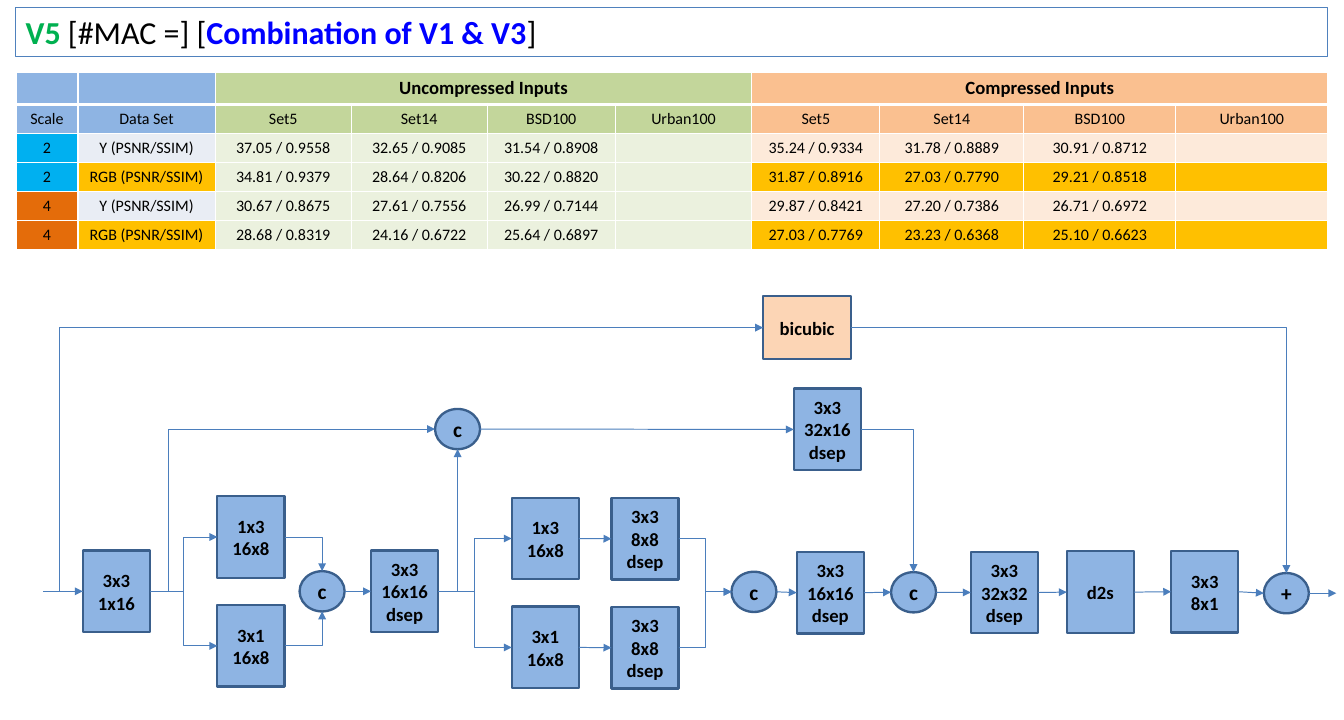
import pptx
import pptx.util
import pptx.dml.color
import pptx.enum.shapes
import pptx.enum.text
import pptx.oxml.ns
import lxml.etree

Pt = pptx.util.Pt
RGB = pptx.dml.color.RGBColor.from_string
ALIGN = pptx.enum.text.PP_ALIGN
MIDDLE = pptx.enum.text.MSO_ANCHOR.MIDDLE
SHAPES = pptx.enum.shapes.MSO_SHAPE
CONNECTORS = pptx.enum.shapes.MSO_CONNECTOR
qn = pptx.oxml.ns.qn


class Theme:
    font = "Calibri"
    text, white = "000000", "FFFFFF"
    green, bright_blue = "00B050", "0000FF"
    block, outline, arrow, frame = "8EB4E3", "3A5F8C", "4B7EBC", "4F81BD"
    bicubic = "FCD5B5"
    plain_head, plain_cell = "C3D69B", "EBF1DE"
    compressed_head, compressed_cell = "FAC090", "FDEADA"
    luma, rgb = "E9EDF4", "FFC000"
    scales = {"2": "00B0F0", "4": "E46C0A"}
    title_size, head_size, cell_size = 24, 14, 12
    block_size, node_size = 14, 16


def write(frame, text, size, bold):
    frame.text = text
    for para in frame.paragraphs:
        para.alignment = ALIGN.CENTER
        para.font.name = Theme.font
        para.font.size = Pt(size)
        para.font.bold = bold
        para.font.color.rgb = RGB(Theme.text)


def connect(start, end, preset="line", bend=None):
    kind = CONNECTORS.STRAIGHT if preset == "line" else CONNECTORS.ELBOW
    link = page.shapes.add_connector(kind, *(Pt(value) for value in start + end))
    link.line.color.rgb = RGB(Theme.arrow)
    link.line.width = Pt(0.75)
    properties = link._element.spPr
    geometry = properties.find(qn("a:prstGeom"))
    geometry.set("prst", preset)
    if bend is not None:
        guides = geometry.find(qn("a:avLst"))
        ratio = round(bend / (end[0] - start[0]) * 100000)
        lxml.etree.SubElement(guides, qn("a:gd"), name="adj1", fmla=f"val {ratio}")
    lxml.etree.SubElement(properties.find(qn("a:ln")), qn("a:tailEnd"), type="triangle")
    lxml.etree.SubElement(properties, qn("a:effectLst"))


deck = pptx.Presentation()
deck.slide_width, deck.slide_height = Pt(1008), Pt(540)
page = deck.slides.add_slide(deck.slide_layouts[5])

title = page.shapes.title
title.left, title.top, title.width, title.height = Pt(12), Pt(5.8), Pt(984), Pt(36.4)
title.line.color.rgb = RGB(Theme.frame)
title.line.width = Pt(0.75)
title.text_frame.word_wrap = True
title.text_frame.auto_size = pptx.enum.text.MSO_AUTO_SIZE.NONE
title.text_frame.vertical_anchor = MIDDLE
para = title.text_frame.paragraphs[0]
para.alignment = ALIGN.LEFT
para.font.name = Theme.font
para.font.size = Pt(Theme.title_size)
for text, color, bold in [
    ("V5 ", Theme.green, True),
    ("[#MAC =] [", Theme.text, False),
    ("Combination of V1 & V3", Theme.bright_blue, True),
    ("]", Theme.text, False),
]:
    span = para.add_run()
    span.text = text
    span.font.bold = bold
    span.font.color.rgb = RGB(color)

sets = ["Set5", "Set14", "BSD100", "Urban100"]
luma, rgb = "Y (PSNR/SSIM)", "RGB (PSNR/SSIM)"
rows = [
    ["", "", "Uncompressed Inputs", "", "", "", "Compressed Inputs", "", "", ""],
    ["Scale", "Data Set"] + sets * 2,
    ["2", luma, "37.05 / 0.9558", "32.65 / 0.9085", "31.54 / 0.8908", "",
     "35.24 / 0.9334", "31.78 / 0.8889", "30.91 / 0.8712", ""],
    ["2", rgb, "34.81 / 0.9379", "28.64 / 0.8206", "30.22 / 0.8820", "",
     "31.87 / 0.8916", "27.03 / 0.7790", "29.21 / 0.8518", ""],
    ["4", luma, "30.67 / 0.8675", "27.61 / 0.7556", "26.99 / 0.7144", "",
     "29.87 / 0.8421", "27.20 / 0.7386", "26.71 / 0.6972", ""],
    ["4", rgb, "28.68 / 0.8319", "24.16 / 0.6722", "25.64 / 0.6897", "",
     "27.03 / 0.7769", "23.23 / 0.6368", "25.10 / 0.6623", ""],
]
widths = [46.5, 103, 102, 102, 96, 102.5, 96, 108, 114, 114]
table = page.shapes.add_table(6, 10, Pt(12), Pt(54), Pt(984), Pt(108)).table
table.horz_banding = False
for column, width in zip(table.columns, widths):
    column.width = Pt(width)
for r, values in enumerate(rows):
    if r < 2:
        fills = [Theme.block] * 2 + [Theme.plain_head] * 4 + [Theme.compressed_head] * 4
    else:
        is_rgb = values[1] == rgb
        fills = [Theme.scales[values[0]], Theme.rgb if is_rgb else Theme.luma]
        fills += [Theme.plain_cell] * 4
        fills += [Theme.rgb if is_rgb else Theme.compressed_cell] * 4
    for c, (text, color) in enumerate(zip(values, fills)):
        cell = table.cell(r, c)
        write(cell.text_frame, text, Theme.head_size if r == 0 else Theme.cell_size, r == 0)
        cell.vertical_anchor = MIDDLE
        properties = cell._tc.get_or_add_tcPr()
        for side in ("lnL", "lnR", "lnT", "lnB"):
            heavy = (r, side) in [(0, "lnB"), (1, "lnT")]
            border = lxml.etree.SubElement(properties, qn(f"a:{side}"), w=str(Pt(3 if heavy else 1)))
            paint = lxml.etree.SubElement(border, qn("a:solidFill"))
            lxml.etree.SubElement(paint, qn("a:srgbClr"), val=Theme.white)
        cell.fill.solid()
        cell.fill.fore_color.rgb = RGB(color)
for first in (2, 6):
    table.cell(0, first).merge(table.cell(0, first + 3))

block_form = (SHAPES.RECTANGLE, 50.4, 61.2, Theme.block, Theme.block_size)
node_form = (SHAPES.OVAL, 33.8, 30.2, Theme.block, Theme.node_size)
bicubic_form = (SHAPES.RECTANGLE, 66.2, 47.5, Theme.bicubic, Theme.block_size)
parts = [
    ("stem", block_form, 87.3, 443.5, "3x3\n1x16"),
    ("first row", block_form, 188.2, 402.8, "1x3\n16x8"),
    ("first column", block_form, 188.2, 484.4, "3x1\n16x8"),
    ("first join", node_form, 241.6, 443.5, "c"),
    ("first mix", block_form, 303.5, 443.5, "3x3\n16x16\ndsep"),
    ("second row", block_form, 409, 403.9, "1x3\n16x8"),
    ("second column", block_form, 409, 485.6, "3x1\n16x8"),
    ("row dsep", block_form, 483.8, 404.1, "3x3\n8x8\ndsep"),
    ("column dsep", block_form, 483.8, 485.8, "3x3\n8x8\ndsep"),
    ("second join", node_form, 565.5, 443.9, "c"),
    ("second mix", block_form, 622.8, 444.5, "3x3\n16x16\ndsep"),
    ("third join", node_form, 685.2, 444.2, "c"),
    ("third mix", block_form, 753.3, 444.4, "3x3\n32x32\ndsep"),
    ("d2s", block_form, 825.3, 444.1, "d2s"),
    ("last", block_form, 903.6, 443.8, "3x3\n8x1"),
    ("sum", node_form, 964.8, 444.9, "+"),
    ("bicubic", bicubic_form, 605.4, 245.8, "bicubic"),
    ("skip join", node_form, 343.2, 321.8, "c"),
    ("skip mix", block_form, 620.6, 322.1, "3x3\n32x16\ndsep"),
]
left, right, top, bottom = {}, {}, {}, {}
for name, (form, width, height, color, size), x, y, text in parts:
    box = page.shapes.add_shape(form, Pt(x - width / 2), Pt(y - height / 2), Pt(width), Pt(height))
    box.shadow.inherit = False
    box.fill.solid()
    box.fill.fore_color.rgb = RGB(color)
    box.line.color.rgb = RGB(Theme.outline)
    box.line.width = Pt(1.75)
    frame = box.text_frame
    frame.margin_left = frame.margin_right = 0
    frame.vertical_anchor = MIDDLE
    write(frame, text, size, True)
    left[name], right[name] = (x - width / 2, y), (x + width / 2, y)
    top[name], bottom[name] = (x, y - height / 2), (x, y + height / 2)

for start, end in [
    ("first join", "first mix"), ("second row", "row dsep"), ("second column", "column dsep"),
    ("second join", "second mix"), ("second mix", "third join"), ("third join", "third mix"),
    ("third mix", "d2s"), ("d2s", "last"), ("last", "sum"), ("skip join", "skip mix"),
]:
    connect(right[start], left[end])
connect((32.4, 443.5), left["stem"])
connect(right["sum"], (1002.2, 444.9))

for start, end in [
    ("stem", "first row"), ("stem", "first column"),
    ("first mix", "second row"), ("first mix", "second column"),
    ("row dsep", "second join"), ("column dsep", "second join"),
]:
    connect(right[start], left[end], "bentConnector3")
connect(left["stem"], left["bicubic"], "bentConnector3", -17.6)
connect(right["stem"], left["skip join"], "bentConnector3", 14)

for start, end in [
    ("first row", top["first join"]), ("first column", bottom["first join"]),
    ("first mix", bottom["skip join"]), ("skip mix", top["third join"]),
    ("bicubic", top["sum"]),
]:
    connect(right[start], end, "bentConnector2")

deck.save("out.pptx")
